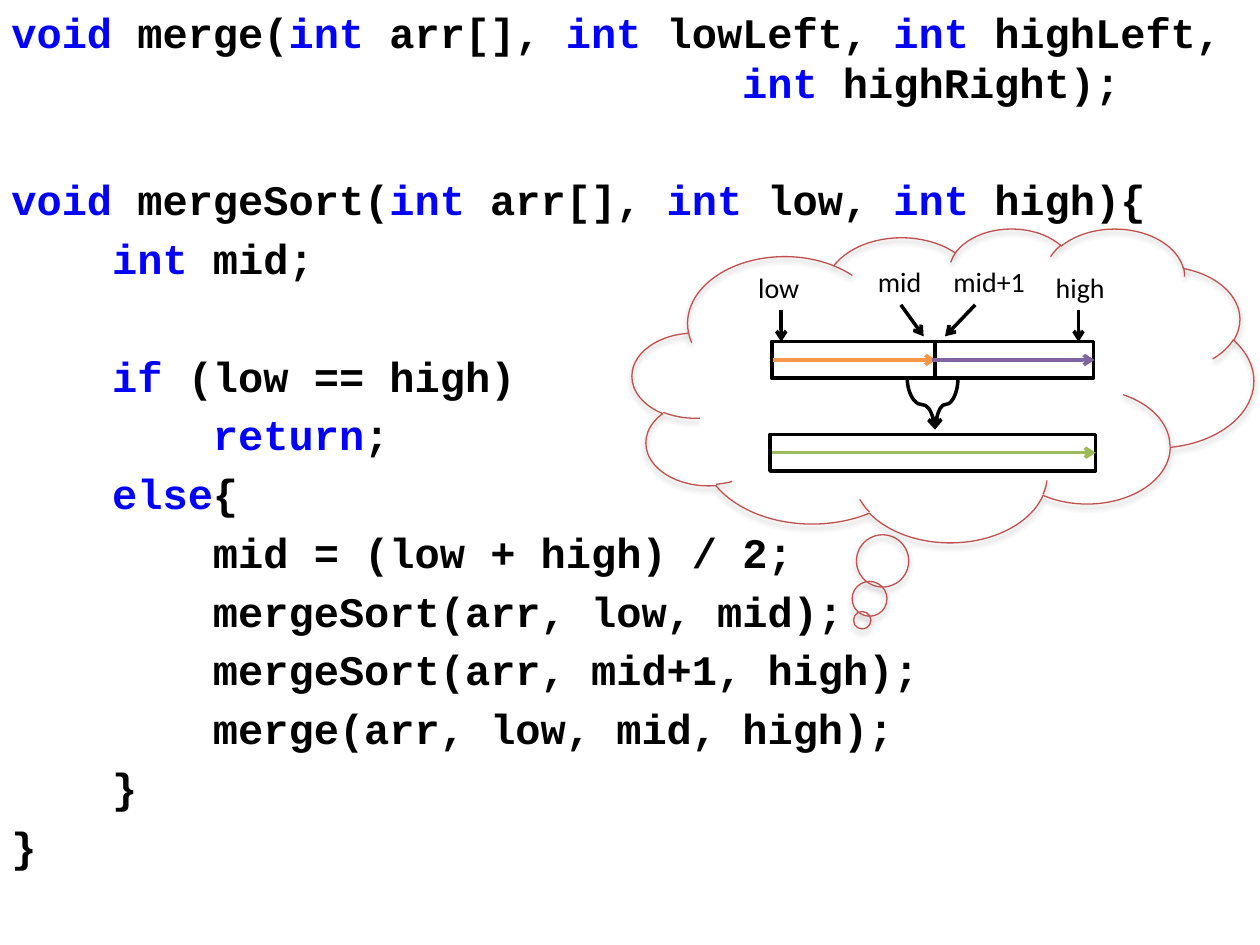
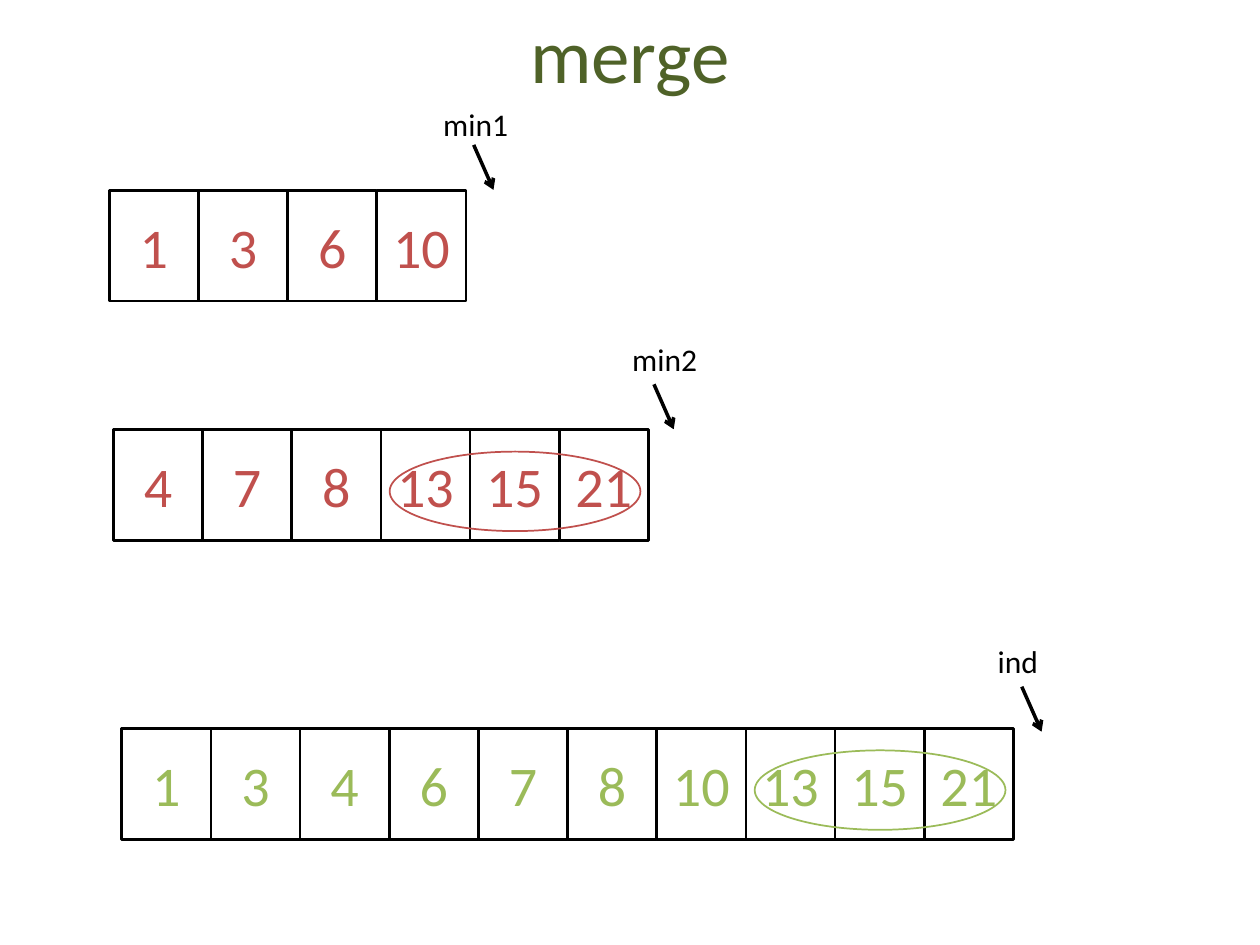
from dataclasses import dataclass

from lxml.etree import SubElement
from pptx import Presentation
from pptx.dml.color import RGBColor
from pptx.enum.shapes import MSO_CONNECTOR as Link, MSO_SHAPE as Shape
from pptx.enum.text import MSO_ANCHOR as Anchor, MSO_AUTO_SIZE as Fit, PP_ALIGN as Align
from pptx.oxml.ns import qn
from pptx.util import Pt


@dataclass(frozen=True)
class Theme:
    black: str = "000000"
    keyword: str = "0000FF"
    title: str = "4F6228"
    red: str = "C0504D"
    orange: str = "F79646"
    purple: str = "8064A2"
    green: str = "9BBB59"
    body_font: str = "Calibri"
    code_font: str = "Courier New"
    title_size: int = 44
    value_size: int = 32
    code_size: int = 24
    pointer_size: int = 18
    index_size: int = 16


theme = Theme()


def write(paragraph, text, *, size, color=theme.black, font=theme.body_font,
          bold=False, align=None):
    """Write text; parts between backticks take the keyword colour."""
    paragraph.alignment = align
    for position, part in enumerate(text.split("`")):
        if part:
            run = paragraph.add_run()
            run.text = part
            run.font.name, run.font.size, run.font.bold = font, Pt(size), bold
            run.font.color.rgb = RGBColor.from_string(
                theme.keyword if position % 2 else color)


def outline(item, color, width, arrow=False):
    """Give a shape or connector a plain line, without fill or shadow."""
    item.line.color.rgb = RGBColor.from_string(color)
    item.line.width = Pt(width)
    if arrow:
        SubElement(item.line._get_or_add_ln(), qn("a:tailEnd"), type="arrow")
        SubElement(item._element.spPr, qn("a:effectLst"))
    else:
        item.fill.background()
        item.shadow.inherit = False


deck = Presentation()
deck.slide_width, deck.slide_height = Pt(720), Pt(540)

# Slide 1: the mergeSort code
sort_slide = deck.slides.add_slide(deck.slide_layouts[1])
unused_title = sort_slide.shapes.title.element
unused_title.getparent().remove(unused_title)
code = sort_slide.placeholders[1]
code.left, code.top, code.width, code.height = Pt(-0.7), Pt(0), Pt(726.5), Pt(516)
code.text_frame.auto_size = Fit.NONE

CHAR = 14.4          # advance of one code character
GAP = 4.8            # space above a line
BLOCK_GAP = 38.2     # space above a line that opens a new block
code_lines = [       # indent in characters, space above, text
    (0, GAP, "`void `merge(`int `arr[], `int `lowLeft, `int `highLeft,"),
    (29, 0, "`int `highRight);"),
    (0, BLOCK_GAP, "`void `mergeSort(`int `arr[], `int` low, `int` high){"),
    (4, GAP, "`int` mid;"),
    (4, BLOCK_GAP, "`if` (low == high)"),
    (8, GAP, "`return`;"),
    (4, GAP, "`else`{"),
    (8, GAP, "mid = (low + high) / 2;"),
    (8, GAP, "mergeSort(arr, low, mid);"),
    (8, GAP, "mergeSort(arr, mid+1, high);"),
    (8, GAP, "merge(arr, low, mid, high);"),
    (4, GAP, "}"),
    (0, GAP, "}"),
]
for number, (indent, above, text) in enumerate(code_lines):
    line = code.text_frame.add_paragraph() if number else code.text_frame.paragraphs[0]
    line.space_before = Pt(above)
    layout = line._p.get_or_add_pPr()
    layout.set("marL", str(Pt(indent * CHAR)))
    layout.set("indent", "0")
    SubElement(layout, qn("a:buNone"))
    write(line, text, size=theme.code_size, font=theme.code_font, bold=True)

# Both halves above, the merged array below
for left, top, width in [(441.2, 195.1, 183.8), (441.2, 195.1, 93), (440, 248.2, 186)]:
    array = sort_slide.shapes.add_shape(
        Shape.RECTANGLE, Pt(left), Pt(top), Pt(width), Pt(21))
    outline(array, theme.black, 2)

for start, end, y, color in [(442, 535, 205.7, theme.orange),
                             (532.3, 625.5, 205.7, theme.purple),
                             (441, 626.2, 258.7, theme.green)]:
    sorted_run = sort_slide.shapes.add_connector(
        Link.STRAIGHT, Pt(start), Pt(y), Pt(end), Pt(y))
    outline(sorted_run, color, 2, arrow=True)

# Two curves that join the halves; each is turned to run downwards
for start, end, top, bottom, turn in [(540.7, 511.9, 223.2, 239, 270),
                                      (526.5, 555.3, 224.5, 237.5, 90)]:
    merging = sort_slide.shapes.add_connector(
        Link.CURVE, Pt(start), Pt(top), Pt(end), Pt(bottom))
    merging._element.spPr.find(qn("a:xfrm")).set("rot", str(turn * 60000))
    outline(merging, theme.black, 2, arrow=True)

# Thought cloud
cloud = sort_slide.shapes.add_shape(
    Shape.CLOUD_CALLOUT, Pt(361.4), Pt(130.3), Pt(355), Pt(179.3))
cloud.adjustments[0], cloud.adjustments[1] = -0.13, 0.75
outline(cloud, theme.red, 0.75)
shadow = SubElement(cloud._element.spPr.find(qn("a:effectLst")), qn("a:outerShdw"),
                    blurRad=str(Pt(3.1)), dist=str(Pt(1.8)), dir="5400000", rotWithShape="0")
shade = SubElement(shadow, qn("a:srgbClr"), val=theme.black)
SubElement(shade, qn("a:alpha"), val="35000")

# Index labels and their arrows
for text, left, top, width, start, end, drop in [
        ("mid", 494.6, 147.6, 41, 514.8, 527.8, 18),
        ("mid+1", 537.8, 147.6, 79.2, 557.3, 540, 18),
        ("low", 426.2, 150.8, 41, 446.4, 446.4, 18),
        ("high", 596.2, 150.8, 62.6, 616.3, 616.3, 18)]:
    index = sort_slide.shapes.add_textbox(Pt(left), Pt(top), Pt(width), Pt(26.6))
    index.text_frame.word_wrap = True
    write(index.text_frame.paragraphs[0], text, size=theme.index_size)
    pointer = sort_slide.shapes.add_connector(
        Link.STRAIGHT, Pt(start), Pt(top + 26.6), Pt(end), Pt(top + 26.6 + drop))
    outline(pointer, theme.black, 2, arrow=True)

# Slide 2: merging two sorted arrays
merge_slide = deck.slides.add_slide(deck.slide_layouts[5])
title = merge_slide.shapes.title
title.left, title.top, title.width, title.height = Pt(36), Pt(-15), Pt(648), Pt(90)
title.text_frame.vertical_anchor = Anchor.MIDDLE
write(title.text_frame.paragraphs[0], "merge", size=theme.title_size,
      color=theme.title, align=Align.CENTER)

CELL_WIDTH, CELL_HEIGHT = 50.95, 63.4
arrays = [  # values, left, top, colour, first circled cell, label, its place, arrow start
    ([1, 3, 6, 10], 62.5, 108.7, theme.red, None,
     "min1", (246.2, 56.2), (270.7, 82.8)),
    ([4, 7, 8, 13, 15, 21], 64.8, 245.5, theme.red, 3,
     "min2", (354.2, 190.8), (373.7, 219.6)),
    ([1, 3, 4, 6, 7, 8, 10, 13, 15, 21], 69.6, 416.2, theme.green, 7,
     "ind", (563, 363.6), (583.9, 392.4)),
]
for values, left, top, color, circled, label, (label_x, label_y), (tail_x, tail_y) in arrays:
    # Cells
    for column, value in enumerate(values):
        cell = merge_slide.shapes.add_shape(
            Shape.RECTANGLE, Pt(left + column * CELL_WIDTH), Pt(top),
            Pt(CELL_WIDTH), Pt(CELL_HEIGHT))
        outline(cell, theme.black, 1.5)
        cell.text_frame.word_wrap = False
        cell.text_frame.vertical_anchor = Anchor.MIDDLE
        write(cell.text_frame.paragraphs[0], str(value), size=theme.value_size,
              color=color, align=Align.CENTER)

    # Ring round the values left over
    if circled is not None:
        leftover = merge_slide.shapes.add_shape(
            Shape.OVAL, Pt(left + circled * CELL_WIDTH + 5), Pt(top + 12.6),
            Pt(143.3), Pt(45.4))
        outline(leftover, color, 1)

    # Pointer past the last cell
    pointer_label = merge_slide.shapes.add_textbox(
        Pt(label_x), Pt(label_y), Pt(57), Pt(28.8))
    pointer_label.text_frame.word_wrap = True
    write(pointer_label.text_frame.paragraphs[0], label, size=theme.pointer_size)
    pointer = merge_slide.shapes.add_connector(
        Link.STRAIGHT, Pt(tail_x), Pt(tail_y), Pt(tail_x + 11.3), Pt(tail_y + 25.7))
    outline(pointer, theme.black, 2, arrow=True)

deck.save("out.pptx")
